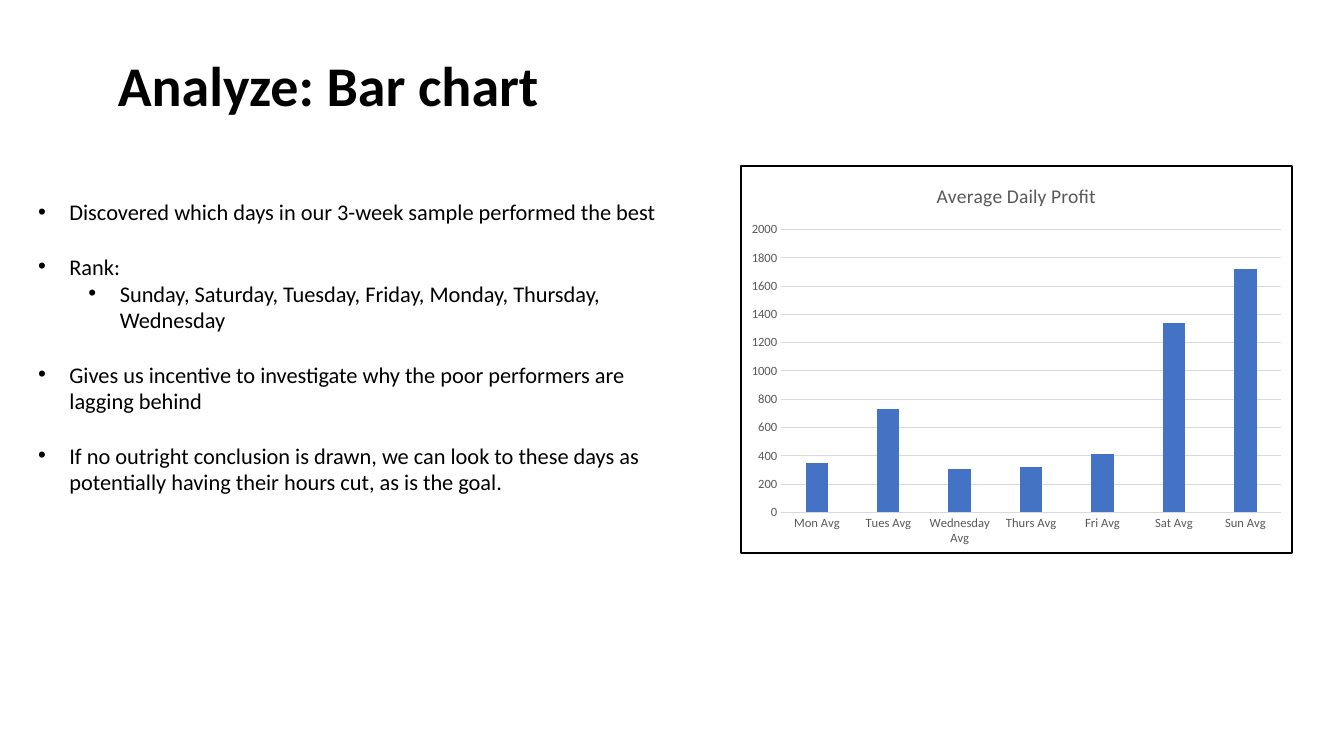
from lxml.etree import SubElement
from pptx import Presentation
from pptx.chart.data import CategoryChartData
from pptx.dml.color import RGBColor
from pptx.enum.chart import XL_CHART_TYPE, XL_TICK_MARK
from pptx.enum.text import MSO_ANCHOR
from pptx.oxml import parse_xml
from pptx.oxml.ns import nsdecls, qn
from pptx.util import Cm, Pt

BULLETS = [
    (0, "Discovered which days in our 3-week sample performed the best", True),
    (0, "Rank:", False),
    (1, "Sunday, Saturday, Tuesday, Friday, Monday, Thursday, Wednesday", True),
    (0, "Gives us incentive to investigate why the poor performers are lagging behind", True),
    (0, "If no outright conclusion is drawn, we can look to these days as "
        "potentially having their hours cut, as is the goal.", False),
]
DAILY_PROFIT = {
    "Mon Avg": 350, "Tues Avg": 730, "Wednesday Avg": 310, "Thurs Avg": 320,
    "Fri Avg": 410, "Sat Avg": 1340, "Sun Avg": 1720,
}


def color(value):
    return RGBColor.from_string(value)


class SlideBuilder:
    """Hold the style and the current slide, and add its elements."""

    typeface = "Calibri"
    ink = "000000"
    label = "595959"
    rule = "D9D9D9"
    accent = "4472C4"

    def __init__(self, page):
        self.page = page

    def style_font(self, font, size, ink, bold=False):
        font.name = self.typeface
        font.size = Pt(size)
        font.bold = bold
        font.color.rgb = color(ink)

    def style_line(self, line):
        line.color.rgb = color(self.rule)
        line.width = Pt(0.75)

    def text_frame(self, left, top, width, height):
        box = self.page.shapes.add_textbox(Cm(left), Cm(top), Cm(width), Cm(height))
        box.text_frame.word_wrap = True
        return box.text_frame

    def add_span(self, para, text, size, bold=False):
        span = para.add_run()
        span.text = text
        self.style_font(span.font, size, self.ink, bold)

    def add_title(self, text, left, top, width, height):
        frame = self.text_frame(left, top, width, height)
        frame.vertical_anchor = MSO_ANCHOR.MIDDLE
        para = frame.paragraphs[0]
        para.line_spacing = 0.9
        para.space_after = Pt(6)
        self.add_span(para, text, 40, bold=True)

    def add_bullets(self, items, left, top, width, height):
        frame = self.text_frame(left, top, width, height)
        for index, (level, text, gap_after) in enumerate(items):
            para = frame.add_paragraph() if index else frame.paragraphs[0]
            para.level = level
            para.space_after = Pt(19.5 if gap_after else 0)
            self.add_span(para, text, 16)
            properties = para._p.get_or_add_pPr()
            properties.set("marL", str(Cm(0.79 + 1.27 * level)))
            properties.set("indent", str(Cm(-0.79)))
            SubElement(properties, qn("a:buFont"), typeface="Arial")
            SubElement(properties, qn("a:buChar"), char="•")

    def add_column_chart(self, title, values, left, top, width, height):
        data = CategoryChartData()
        data.categories = list(values)
        data.add_series("Series 1", list(values.values()))
        chart = self.page.shapes.add_chart(
            XL_CHART_TYPE.COLUMN_CLUSTERED,
            Cm(left), Cm(top), Cm(width), Cm(height), data).chart
        self.style_font(chart.font, 10, self.ink)
        chart.has_legend = False
        chart.has_title = True
        heading = chart.chart_title
        heading.include_in_layout = False
        span = heading.text_frame.paragraphs[0].add_run()
        span.text = title
        self.style_font(span.font, 14, self.label)

        plot = chart.plots[0]
        plot.gap_width = 219
        plot.overlap = -27
        plot.vary_by_categories = False
        fill = plot.series[0].format.fill
        fill.solid()
        fill.fore_color.rgb = color(self.accent)

        for axis in (chart.category_axis, chart.value_axis):
            axis.major_tick_mark = axis.minor_tick_mark = XL_TICK_MARK.NONE
            self.style_font(axis.tick_labels.font, 9, self.label)
        self.style_line(chart.category_axis.format.line)
        amounts = chart.value_axis
        amounts.minimum_scale, amounts.maximum_scale, amounts.major_unit = 0, 2000, 200
        amounts.format.line.fill.background()
        self.style_line(amounts.major_gridlines.format.line)
        self.add_chart_border(chart)

    def add_chart_border(self, chart):
        border = parse_xml(
            f'<c:spPr {nsdecls("c", "a")}><a:noFill/><a:ln w="{Pt(1.5)}"><a:solidFill>'
            f'<a:srgbClr val="{self.ink}"/></a:solidFill></a:ln></c:spPr>')
        chart._chartSpace.find(qn("c:chart")).addnext(border)


def main():
    deck = Presentation()
    deck.slide_width, deck.slide_height = Cm(33.87), Cm(19.05)
    builder = SlideBuilder(deck.slides.add_slide(deck.slide_layouts[6]))
    builder.add_column_chart("Average Daily Profit", DAILY_PROFIT, 18.64, 4.15, 13.95, 9.82)
    builder.add_title("Analyze: Bar chart", 2.72, 0.81, 28.42, 2.82)
    builder.add_bullets(BULLETS, 0.71, 4.88, 16.2, 9.14)
    deck.save("out.pptx")


if __name__ == "__main__":
    main()
